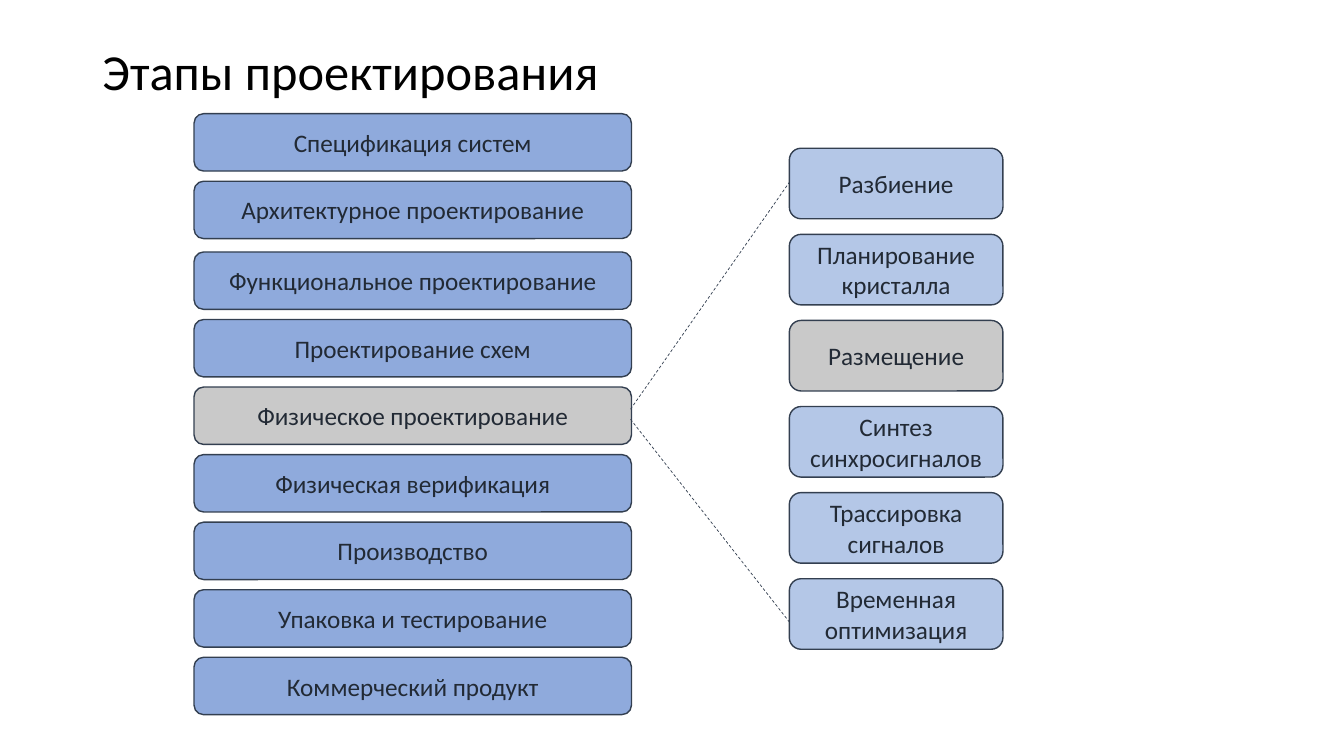
"""Build the slide on chip design stages and the steps of physical design."""
import dataclasses

import lxml.etree
import pptx
import pptx.dml.color
import pptx.enum.dml
import pptx.enum.shapes
import pptx.enum.text
import pptx.oxml.ns
import pptx.util

Pt = pptx.util.Pt
RGB = pptx.dml.color.RGBColor.from_string
ALIGN = pptx.enum.text.PP_ALIGN
MIDDLE = pptx.enum.text.MSO_ANCHOR.MIDDLE


@dataclasses.dataclass(frozen=True)
class Theme:
    font: str = "Calibri"
    title_size: float = 36
    box_size: float = 18
    title_color: str = "000000"
    box_text: str = "222A35"
    outline: str = "333F50"
    stage: str = "8FAADC"
    step: str = "B4C7E7"
    current: str = "C9C9C9"


def apply_format(target, values):
    for name, value in values.items():
        setattr(target, name, value)


class StageSlide:
    def __init__(self, slide, theme):
        self.slide = slide
        self.theme = theme

    def label(self, shape, text, size, color, paragraph_format):
        frame = shape.text_frame
        apply_format(frame, {"word_wrap": True, "vertical_anchor": MIDDLE,
                             "auto_size": pptx.enum.text.MSO_AUTO_SIZE.NONE})
        paragraph = frame.paragraphs[0]
        apply_format(paragraph, paragraph_format)
        run = paragraph.add_run()
        run.text = text
        apply_format(run.font, {"name": self.theme.font, "size": Pt(size)})
        run.font.color.rgb = RGB(color)

    def title(self, text, left, top, width, height):
        heading = self.slide.shapes.title
        apply_format(heading, {"left": Pt(left), "top": Pt(top),
                               "width": Pt(width), "height": Pt(height)})
        self.label(heading, text, self.theme.title_size, self.theme.title_color,
                   {"alignment": ALIGN.LEFT, "line_spacing": 0.9})

    def box(self, text, left, top, width, height, fill):
        box = self.slide.shapes.add_shape(
            pptx.enum.shapes.MSO_SHAPE.ROUNDED_RECTANGLE,
            Pt(left), Pt(top), Pt(width), Pt(height))
        box.shadow.inherit = False
        box.fill.solid()
        box.fill.fore_color.rgb = RGB(fill)
        box.line.color.rgb = RGB(self.theme.outline)
        box.line.width = Pt(1)
        self.label(box, text, self.theme.box_size, self.theme.box_text,
                   {"alignment": ALIGN.CENTER})

    def column(self, names, left, top, width, height, pitch, fill, current):
        for row, name in enumerate(names):
            self.box(name, left, top + row * pitch, width, height,
                     self.theme.current if name == current else fill)

    def dashed_line(self, start, end):
        link = self.slide.shapes.add_connector(
            pptx.enum.shapes.MSO_CONNECTOR.STRAIGHT,
            *(Pt(length) for length in (*start, *end)))
        link.line.color.rgb = RGB(self.theme.outline)
        apply_format(link.line, {"width": Pt(0.5),
                                 "dash_style": pptx.enum.dml.MSO_LINE.DASH})
        lxml.etree.SubElement(link._element.spPr,
                              pptx.oxml.ns.qn("a:effectLst"))


def main():
    deck = pptx.Presentation()
    apply_format(deck, {"slide_width": Pt(960), "slide_height": Pt(540)})
    theme = Theme()
    stages = StageSlide(deck.slides.add_slide(deck.slide_layouts[5]), theme)
    stages.title("Этапы проектирования", 66, 28.8, 828, 48.2)

    stage_format = {"left": 138.6, "width": 312.5, "height": 41, "pitch": 48.25,
                    "fill": theme.stage, "current": "Физическое проектирование"}
    stages.column(["Спецификация систем", "Архитектурное проектирование"],
                  top=81.2, **stage_format)
    stages.column(["Функциональное проектирование", "Проектирование схем",
                   "Физическое проектирование", "Физическая верификация",
                   "Производство", "Упаковка и тестирование",
                   "Коммерческий продукт"],
                  top=180, **stage_format)
    stages.column(["Разбиение", "Планирование кристалла", "Размещение",
                   "Синтез синхросигналов", "Трассировка сигналов",
                   "Временная оптимизация"],
                  left=563.8, top=105.9, width=152.6, height=50.4, pitch=61.5,
                  fill=theme.step, current="Размещение")

    stages.dashed_line((450.4, 292.3), (563.8, 130.3))
    stages.dashed_line((450.4, 299.5), (563.8, 444.2))
    deck.save("out.pptx")


if __name__ == "__main__":
    main()
